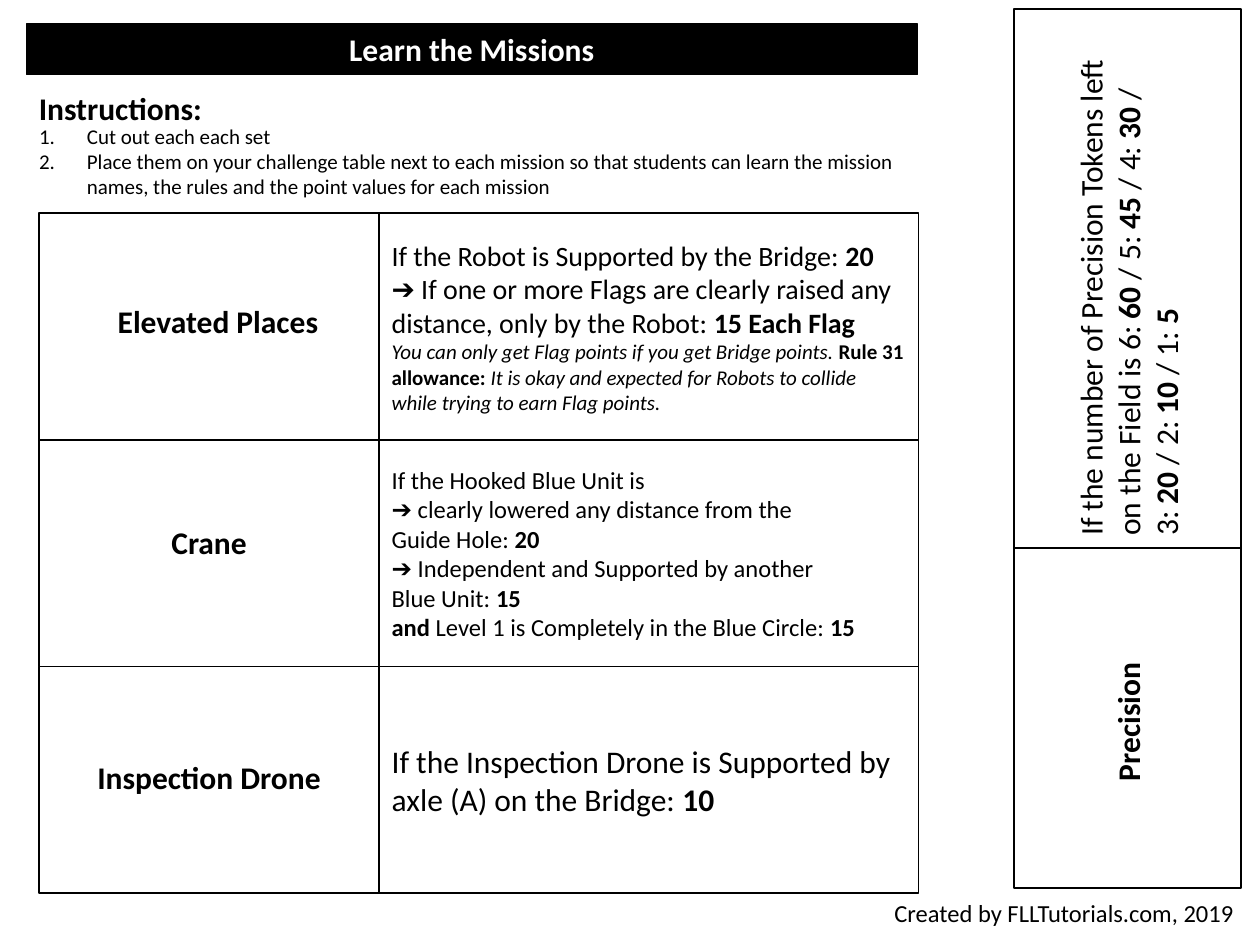
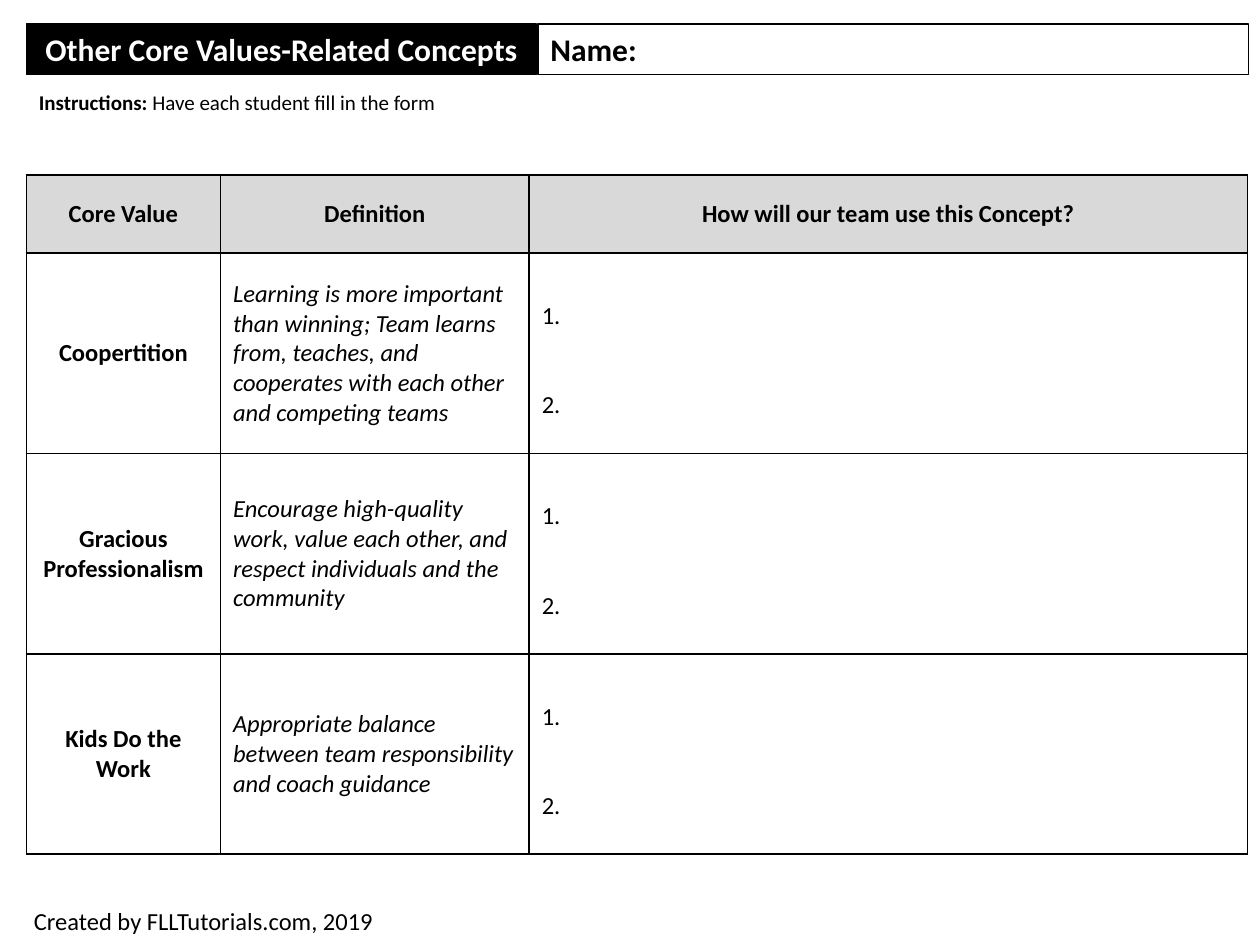
from dataclasses import dataclass

from lxml.etree import SubElement
from pptx import Presentation
from pptx.dml.color import RGBColor
from pptx.enum.shapes import MSO_SHAPE
from pptx.enum.text import MSO_ANCHOR, MSO_AUTO_SIZE, PP_ALIGN
from pptx.oxml.ns import qn
from pptx.util import Inches, Pt


@dataclass(frozen=True)
class Theme:
    font: str = "Calibri"
    black: RGBColor = RGBColor(0, 0, 0)
    white: RGBColor = RGBColor(255, 255, 255)
    grey: RGBColor = RGBColor(0xD9, 0xD9, 0xD9)
    heading: int = 18
    large: int = 16
    body: int = 14
    small: int = 12
    thin: float = 0.75
    line: float = 1


THEME = Theme()
MARGIN, BAND_TOP, BAND_HEIGHT = 0.21, 0.19, 0.4
INTRO_TOP = 0.66
BAND_WIDTHS = {"Learn the Missions": 7.07, "Other Core Values-Related Concepts": 4.05}
FOOTERS = [(7, 7.08), (0.17, 7.14)]
FOOTER_WIDTH, FOOTER_HEIGHT = 2.91, 0.35

LABEL_WIDTH, RULE_WIDTH, CARD_HEIGHT = 2.7, 4.28, 1.8
CARD_LEFT, CARD_TOP = 0.31, 1.69
SIDE_CENTRE, SIDE_TOP = 8.95, 0.07


def write(frame, lines, size, align=PP_ALIGN.LEFT, color=THEME.black, italic=False):
    """Append paragraphs; asterisks enclose bold text, a newline is a line break."""
    frame.word_wrap = True
    for line in lines:
        paragraph = frame.add_paragraph() if frame.text else frame.paragraphs[0]
        paragraph.alignment = align
        paragraph.space_before = Pt(0)
        for index, part in enumerate(line.split("*")):
            bold = index % 2 == 1
            for position, text in enumerate(part.split("\n")):
                if position:
                    paragraph.add_line_break()
                if not text:
                    continue
                run = paragraph.add_run()
                run.text = text
                run.font.name = THEME.font
                run.font.size = Pt(size)
                run.font.bold = bold
                run.font.italic = italic and not bold
                run.font.color.rgb = color


def add_box(slide, left, top, width, height, outline=None, rotation=0):
    """Add a white outlined rectangle, or a bare text box when outline is None."""
    place = [Inches(length) for length in (left, top, width, height)]
    if outline is None:
        shape = slide.shapes.add_textbox(*place)
    else:
        shape = slide.shapes.add_shape(MSO_SHAPE.RECTANGLE, *place)
        shape.shadow.inherit = False
        shape.fill.solid()
        shape.fill.fore_color.rgb = THEME.white
        shape.line.color.rgb = THEME.black
        shape.line.width = Pt(outline)
        shape.text_frame.vertical_anchor = MSO_ANCHOR.MIDDLE
    shape.rotation = rotation
    return shape


presentation = Presentation()
presentation.slide_width, presentation.slide_height = Inches(10), Inches(7.5)
layouts = presentation.slide_layouts
missions = presentation.slides.add_slide(layouts.get_by_name("Title and Content"))
concepts = presentation.slides.add_slide(layouts.get_by_name("Title Only"))

# Title bands and footers
for slide, (title, width), (left, top) in zip(
        (missions, concepts), BAND_WIDTHS.items(), FOOTERS):
    band = slide.shapes.title
    band.left, band.top = Inches(MARGIN), Inches(BAND_TOP)
    band.width, band.height = Inches(width), Inches(BAND_HEIGHT)
    band.fill.solid()
    band.fill.fore_color.rgb = THEME.black
    band.line.color.rgb = THEME.black
    band.line.width = Pt(THEME.thin)
    band.text_frame.auto_size = MSO_AUTO_SIZE.NONE
    write(band.text_frame, [f"*{title}*"], THEME.heading, PP_ALIGN.CENTER, THEME.white)
    footer = add_box(slide, left, top, FOOTER_WIDTH, FOOTER_HEIGHT)
    write(footer.text_frame, ["Created by FLLTutorials.com, 2019"], THEME.body)

# Missions: instructions
heading = add_box(missions, MARGIN, INTRO_TOP, 2.47, 0.41)
write(heading.text_frame, ["*Instructions:*"], THEME.heading)
steps = missions.placeholders[1]
steps.left, steps.top = Inches(MARGIN), Inches(0.93)
steps.width, steps.height = Inches(7.07), Inches(0.71)
steps.text_frame.auto_size = MSO_AUTO_SIZE.NONE
write(steps.text_frame, [
    "Cut out each each set",
    "Place them on your challenge table next to each mission so that students can "
    "learn the mission names, the rules and the point values for each mission",
], THEME.small)
for paragraph in steps.text_frame.paragraphs:
    properties = paragraph._p.get_or_add_pPr()
    properties.set("marL", str(Inches(0.38)))
    properties.set("indent", str(-Inches(0.38)))
    SubElement(properties, qn("a:buAutoNum"), type="arabicPeriod")

# Missions: cards, each a label beside its rules
cards = [
    ("Elevated Places", 0.07, 0.66, THEME.large, [
        "If the Robot is Supported by the Bridge: *20*\n"
        "➔ If one or more Flags are clearly raised any",
        "distance, only by the Robot: *15 Each Flag*"]),
    ("Crane", 0, 0.61, THEME.body, [
        "If the Hooked Blue Unit is\n➔ clearly lowered any distance from the",
        "Guide Hole: *20*\n➔ Independent and Supported by another",
        "Blue Unit: *15\nand *Level 1 is Completely in the Blue Circle: *15*"]),
    ("Inspection Drone", 0, 0.68, THEME.heading, [
        "If the Inspection Drone is Supported by",
        "axle (A) on the Bridge: *10*"]),
]
rule_left = CARD_LEFT + LABEL_WIDTH
for row, (name, shift, drop, size, rules) in enumerate(cards):
    top = CARD_TOP + row * CARD_HEIGHT
    add_box(missions, CARD_LEFT, top, LABEL_WIDTH, CARD_HEIGHT, THEME.line)
    label = add_box(missions, CARD_LEFT + shift, top + drop, LABEL_WIDTH, BAND_HEIGHT)
    write(label.text_frame, [f"*{name}*"], THEME.heading, PP_ALIGN.CENTER)
    rule_box = add_box(missions, rule_left, top, RULE_WIDTH, CARD_HEIGHT, THEME.line)
    write(rule_box.text_frame, rules, size)
    if name == "Elevated Places":
        write(rule_box.text_frame, [
            "You can only get Flag points if you get Bridge points. *Rule 31 allowance: *"
            "It is okay and expected for Robots to collide while trying to earn Flag points."
        ], THEME.small, italic=True)

# Missions: the upright card, turned a quarter to the left
side_rule_top = SIDE_TOP + RULE_WIDTH / 2 - CARD_HEIGHT / 2
side_label_top = SIDE_TOP + RULE_WIDTH + LABEL_WIDTH / 2 - CARD_HEIGHT / 2
side_label_left = SIDE_CENTRE - LABEL_WIDTH / 2
side_rule = add_box(missions, SIDE_CENTRE - RULE_WIDTH / 2, side_rule_top,
                    RULE_WIDTH, CARD_HEIGHT, THEME.line, 270)
write(side_rule.text_frame, [
    "If the number of Precision Tokens left on the Field is 6: *60 */ 5: *45 */ 4: *30 */",
    "3: *20 */ 2: *10 */ 1: *5*",
], THEME.heading)
add_box(missions, side_label_left, side_label_top, LABEL_WIDTH, CARD_HEIGHT,
        THEME.line, 270)
side_label = add_box(missions, side_label_left, side_label_top + 0.73,
                     LABEL_WIDTH, BAND_HEIGHT, rotation=270)
write(side_label.text_frame, ["*Precision*"], THEME.heading, PP_ALIGN.CENTER)

# Concepts: name field and instructions
name_field = add_box(concepts, 4.27, BAND_TOP, 5.64, BAND_HEIGHT, THEME.thin)
write(name_field.text_frame, ["*Name:*"], THEME.heading)
intro = add_box(concepts, MARGIN, INTRO_TOP, 9.3, 0.3)
write(intro.text_frame, ["*Instructions: *Have each student fill in the form"], THEME.small)

# Concepts: form table
headers = ["Core Value", "Definition", "How will our team use this Concept?"]
definitions = {
    "Coopertition": "Learning is more important than winning; Team learns from, "
                    "teaches, and cooperates with each other and competing teams",
    "Gracious Professionalism": "Encourage high-quality work, value each other, "
                                "and respect individuals and the community",
    "Kids Do the Work": "Appropriate balance between team responsibility "
                        "and coach guidance",
}
column_widths = [1.54, 2.45, 5.7]
row_heights = [0.62] + [1.59] * len(definitions)
table = concepts.shapes.add_table(
    len(row_heights), len(column_widths), Inches(MARGIN), Inches(1.39),
    Inches(sum(column_widths)), Inches(sum(row_heights))).table
table.first_row = table.horz_banding = False
for column, width in zip(table.columns, column_widths):
    column.width = Inches(width)
for row, height in zip(table.rows, row_heights):
    row.height = Inches(height)

for cell in table.iter_cells():
    properties = cell._tc.get_or_add_tcPr()
    for side in ("a:lnL", "a:lnR", "a:lnT", "a:lnB"):
        border = SubElement(properties, qn(side), w=str(Pt(THEME.line)))
        SubElement(SubElement(border, qn("a:solidFill")), qn("a:srgbClr"),
                   val=str(THEME.black))
    cell.fill.solid()
    cell.fill.fore_color.rgb = THEME.white
    cell.vertical_anchor = MSO_ANCHOR.MIDDLE

for column, header in enumerate(headers):
    cell = table.cell(0, column)
    cell.fill.fore_color.rgb = THEME.grey
    write(cell.text_frame, [f"*{header}*"], THEME.body, PP_ALIGN.CENTER)

for row, (value, definition) in enumerate(definitions.items(), start=1):
    value_frame, definition_frame, answer_frame = (
        table.cell(row, column).text_frame for column in range(len(headers)))
    write(value_frame, [f"*{value}*"], THEME.body, PP_ALIGN.CENTER)
    write(definition_frame, [definition], THEME.body, italic=True)
    write(answer_frame, ["1.", "2."], THEME.body)
    for paragraph in answer_frame.paragraphs:
        paragraph.line_spacing = 1.5
    answer_frame.paragraphs[1].space_before = Pt(25.5)

presentation.save("out.pptx")
